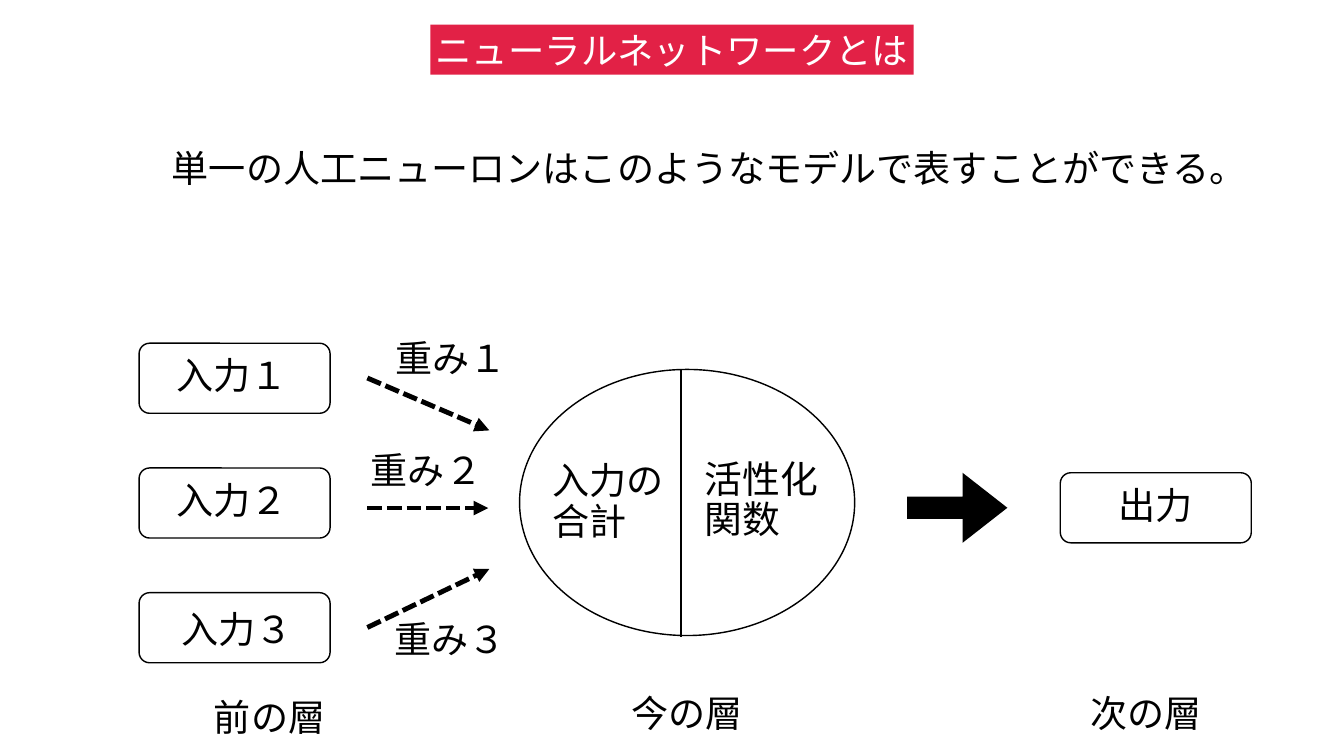
from lxml import etree
from pptx import Presentation
from pptx.dml.color import RGBColor
from pptx.enum.dml import MSO_LINE
from pptx.enum.shapes import MSO_CONNECTOR, MSO_SHAPE
from pptx.enum.text import MSO_ANCHOR, MSO_AUTO_SIZE, PP_ALIGN
from pptx.oxml.ns import qn
from pptx.util import Inches, Pt

BOX = MSO_SHAPE.ROUNDED_RECTANGLE
ELLIPSE = MSO_SHAPE.OVAL
ARROW = MSO_SHAPE.RIGHT_ARROW
STRAIGHT = MSO_CONNECTOR.STRAIGHT
DASH = MSO_LINE.SQUARE_DOT
MIDDLE = MSO_ANCHOR.MIDDLE
GROW = MSO_AUTO_SIZE.SHAPE_TO_FIT_TEXT
LEFT, CENTER = PP_ALIGN.LEFT, PP_ALIGN.CENTER
JAPANESE = "Noto Sans CJK JP"
BLACK = "000000"


def color(value):
    return RGBColor.from_string(value)


def write(shape, lines, size=53, align=LEFT, spacing=0.9, font=JAPANESE, text_color=BLACK):
    frame = shape.text_frame
    frame.word_wrap = False
    frame.auto_size = GROW
    frame.vertical_anchor = MIDDLE
    frame.margin_left = frame.margin_right = Inches(0.06)
    frame.margin_top = frame.margin_bottom = Inches(0.06)
    frame.text = "\n".join(lines)
    for paragraph in frame.paragraphs:
        paragraph.alignment = align
        paragraph.line_spacing = spacing
        paragraph.font.size = Pt(size)
        paragraph.font.name = font
        paragraph.font.color.rgb = color(text_color)
        properties = paragraph.font._element
        etree.SubElement(properties, qn("a:ea"), typeface=JAPANESE)


presentation = Presentation()
presentation.slide_width = Inches(26.67)
presentation.slide_height = Inches(15)
slide = presentation.slides.add_slide(presentation.slide_layouts[5])
shapes = slide.shapes

title = shapes.title
title.left, title.top = Inches(8.54), Inches(0.49)
title.width, title.height = Inches(9.59), Inches(0.99)
title.fill.solid()
title.fill.fore_color.rgb = color("E22146")
write(title, ["ニューラルネットワークとは"], 52, CENTER, 1.0, "Arial", "FFFFFF")

outlines = [(BOX, 2.76, 6.81 + 2.475 * row, 3.79, 1.39) for row in range(3)]
outlines += [(BOX, 21.04, 9.38, 3.79, 1.39), (ELLIPSE, 10.31, 7.33, 6.65, 5.28)]
for kind, left, top, width, height in outlines:
    shape = shapes.add_shape(kind, Inches(left), Inches(top), Inches(width), Inches(height))
    shape.shadow.inherit = False
    shape.fill.background()
    shape.line.color.rgb = color(BLACK)
    shape.line.width = Pt(2)
    if kind == BOX:
        shape.adjustments[0] = 0.15

arrow = shapes.add_shape(ARROW, Inches(18), Inches(9.38), Inches(1.99), Inches(1.39))
arrow.shadow.inherit = False
arrow.adjustments[0], arrow.adjustments[1] = 0.32, 0.64
arrow.fill.solid()
arrow.fill.fore_color.rgb = color(BLACK)
arrow.line.fill.background()

connectors = [
    (7.29, 7.5, 9.71, 8.54, True),
    (7.29, 10.08, 9.69, 10.08, True),
    (7.29, 12.45, 9.71, 11.29, True),
    (13.51, 12.63, 13.51, 7.32, False),
]
for start_x, start_y, end_x, end_y, weighted in connectors:
    connector = shapes.add_connector(
        STRAIGHT, Inches(start_x), Inches(start_y), Inches(end_x), Inches(end_y)
    )
    connector.line.color.rgb = color(BLACK)
    connector.line.width = Pt(7 if weighted else 2)
    if weighted:
        connector.line.dash_style = DASH
        line = connector.line._get_or_add_ln()
        etree.SubElement(line, qn("a:tailEnd"), type="triangle", w="med", len="med")
    etree.SubElement(connector._element.spPr, qn("a:effectLst"))

labels = [
    (["単一の人工ニューロンはこのようなモデルで表すことができる。"], 3.35, 2.92, 21.67, 0.91, 53, LEFT),
    (["入力の", "合計"], 10.9, 9.12, 2.34, 1.72, 53, LEFT),
    (["活性化", "関数"], 13.93, 9.07, 2.38, 1.75, 54, LEFT),
    (["出力"], 22.13, 9.62, 1.6, 0.91, 53, LEFT),
    (["前の層"], 4.18, 13.82, 2.34, 0.91, 53, CENTER),
    (["今の層"], 12.46, 13.74, 2.34, 0.91, 53, CENTER),
    (["次の層"], 21.57, 13.74, 2.34, 0.91, 53, CENTER),
]
for lines, left, top, width, height, size, align in labels:
    label = shapes.add_textbox(Inches(left), Inches(top), Inches(width), Inches(height))
    write(label, lines, size, align)

numbered_labels = [
    ("入力", "１", 3.44, 7.04),
    ("入力", "２", 3.44, 9.52),
    ("入力", "３", 3.54, 12.08),
    ("重み", "１", 7.79, 6.69),
    ("重み", "２", 7.3, 8.92),
    ("重み", "３", 7.76, 12.28),
]
for name, number, left, top in numbered_labels:
    label = shapes.add_textbox(Inches(left), Inches(top), Inches(2.34), Inches(0.91))
    write(label, [name])
    run = label.text_frame.paragraphs[0].add_run()
    run.text = number
    run.font.name = "Lato"

presentation.save("out.pptx")
